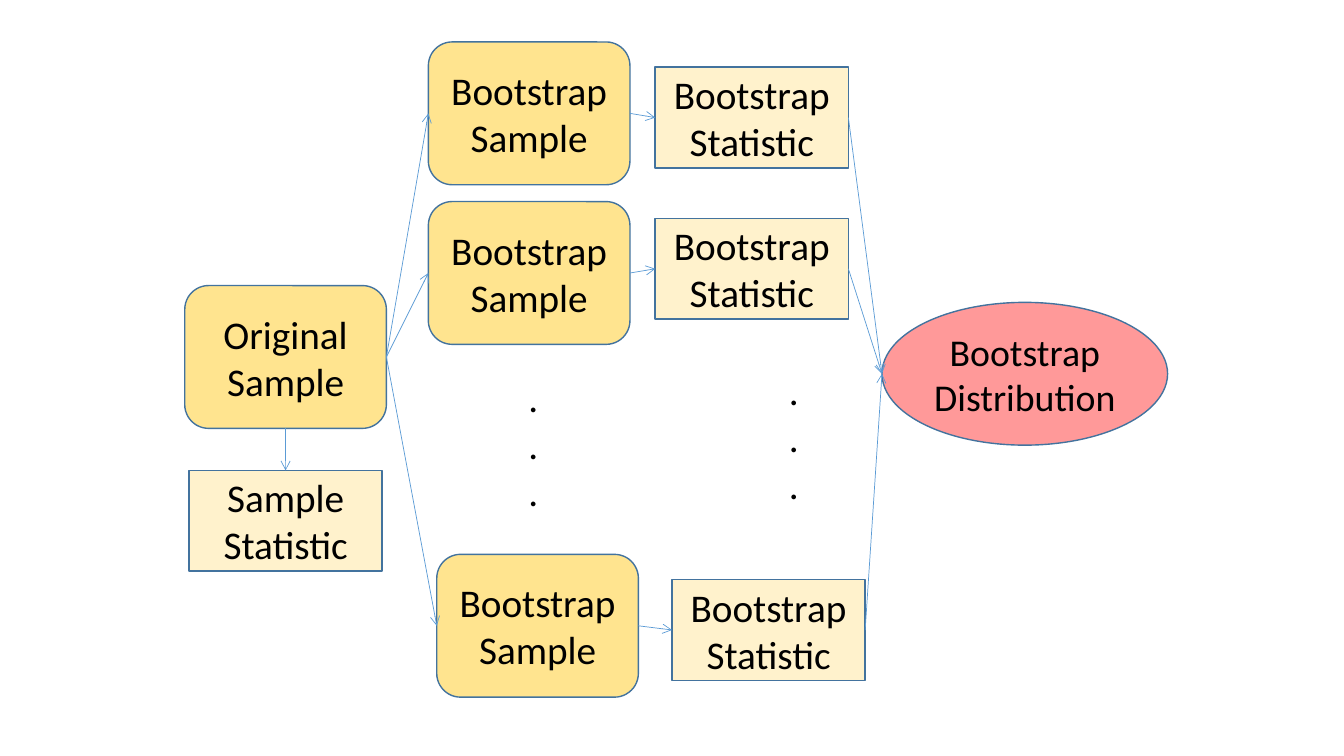
from lxml import etree
from pptx import Presentation
from pptx.dml.color import RGBColor
from pptx.enum.shapes import MSO_CONNECTOR, MSO_SHAPE
from pptx.enum.text import MSO_ANCHOR, PP_ALIGN
from pptx.oxml.ns import qn
from pptx.util import Inches, Pt

ROUND, RECT, OVAL = MSO_SHAPE.ROUNDED_RECTANGLE, MSO_SHAPE.RECTANGLE, MSO_SHAPE.OVAL
STRAIGHT = MSO_CONNECTOR.STRAIGHT
CENTER, MIDDLE, TOP = PP_ALIGN.CENTER, MSO_ANCHOR.MIDDLE, MSO_ANCHOR.TOP

THEME = {
    "font": "Calibri", "text": "000000", "outline": "43739E", "arrow": "5B9BD5",
    "size": 28, "oval_size": 27, "outline_width": 1, "arrow_width": 0.5,
}

# Places and sizes count in grid steps of a twelfth of an inch
STEPS_PER_INCH = 12
SLIDE_SIZE = (160, 90)

# Kind of node: preset, fill, width, height, type size, inset in inches
KINDS = {
    "sample": (ROUND, "FFE48F", 24, 17, THEME["size"], 0.1),
    "statistic": (RECT, "FFF2CC", 23, 12, THEME["size"], 0.1),
    "distribution": (OVAL, "FF9999", 34, 17, THEME["oval_size"], 0),
}

# Content: kind, text, left, top
FIRST_SAMPLE = ("sample", "Original Sample", 22, 34)
FIRST_STATISTIC = ("statistic", "Sample Statistic", 22.5, 56)
DISTRIBUTION = ("distribution", "Bootstrap Distribution", 105, 36)
# Each resample: sample left and top, statistic left and top
RESAMPLES = [(51, 5, 78, 8), (51, 24, 78, 26), (52, 66, 80, 69)]
DOTS = [(56, 43.8), (87, 43)]
DOTS_SIZE = (15, 18.1)

# Connection sites: number and share of width and height
SITES = {"top": (0, 0.5, 0), "left": (1, 0, 0.5),
         "bottom": (2, 0.5, 1), "right": (3, 1, 0.5)}


def grid(*steps):
    return [Inches(n / STEPS_PER_INCH) for n in steps]


def rgb(value):
    return RGBColor.from_string(value)


def write(shape, lines, size, anchor, inset=0.1):
    tf = shape.text_frame
    frame = {"word_wrap": True, "vertical_anchor": anchor,
             "margin_left": Inches(inset), "margin_right": Inches(inset),
             "margin_top": Inches(inset / 2), "margin_bottom": Inches(inset / 2)}
    for name, value in frame.items():
        setattr(tf, name, value)
    for i, line in enumerate(lines):
        p = tf.paragraphs[0] if i == 0 else tf.add_paragraph()
        p.text, p.alignment = line, CENTER
        for r in p.runs:
            for name, value in {"name": THEME["font"], "size": Pt(size)}.items():
                setattr(r.font, name, value)
            r.font.color.rgb = rgb(THEME["text"])


def add_node(kind, text, left, top):
    preset, fill, width, height, size, inset = KINDS[kind]
    sp = s.shapes.add_shape(preset, *grid(left, top, width, height))
    sp.shadow.inherit = False
    sp.fill.solid()
    sp.fill.fore_color.rgb = rgb(fill)
    sp.line.color.rgb = rgb(THEME["outline"])
    sp.line.width = Pt(THEME["outline_width"])
    write(sp, [text], size, MIDDLE, inset)
    return sp


def site(sp, side):
    number, fx, fy = SITES[side]
    return number, int(sp.left + fx * sp.width), int(sp.top + fy * sp.height)


def add_arrow(start, start_side, end, end_side):
    start_id, x1, y1 = site(start, start_side)
    end_id, x2, y2 = site(end, end_side)
    c = s.shapes.add_connector(STRAIGHT, x1, y1, x2, y2)
    c.begin_connect(start, start_id)
    c.end_connect(end, end_id)
    # An oval has twice as many sites
    if end.auto_shape_type == OVAL:
        c._element.nvCxnSpPr.cNvCxnSpPr.endCxn.idx = 2 * end_id
    c.line.color.rgb = rgb(THEME["arrow"])
    c.line.width = Pt(THEME["arrow_width"])
    etree.SubElement(c.line._get_or_add_ln(), qn("a:tailEnd"), type="arrow")
    etree.SubElement(c._element.spPr, qn("a:effectLst"))


prs = Presentation()
prs.slide_width, prs.slide_height = grid(*SLIDE_SIZE)
s = prs.slides.add_slide(prs.slide_layouts[6])

# First sample with its statistic, and the distribution
first_sample, first_statistic, distribution = (
    add_node(*node) for node in (FIRST_SAMPLE, FIRST_STATISTIC, DISTRIBUTION))
add_arrow(first_sample, "bottom", first_statistic, "top")

# One row per resample, from the first sample to the distribution
for left, top, stat_left, stat_top in RESAMPLES:
    sample = add_node("sample", "Bootstrap\vSample", left, top)
    stat = add_node("statistic", "Bootstrap Statistic", stat_left, stat_top)
    add_arrow(first_sample, "right", sample, "left")
    add_arrow(sample, "right", stat, "left")
    add_arrow(stat, "right", distribution, "left")

# Dots for the resamples in between
for left, top in DOTS:
    box = s.shapes.add_textbox(*grid(left, top, *DOTS_SIZE))
    write(box, ["."] * 3, THEME["size"], TOP)

prs.save("out.pptx")
